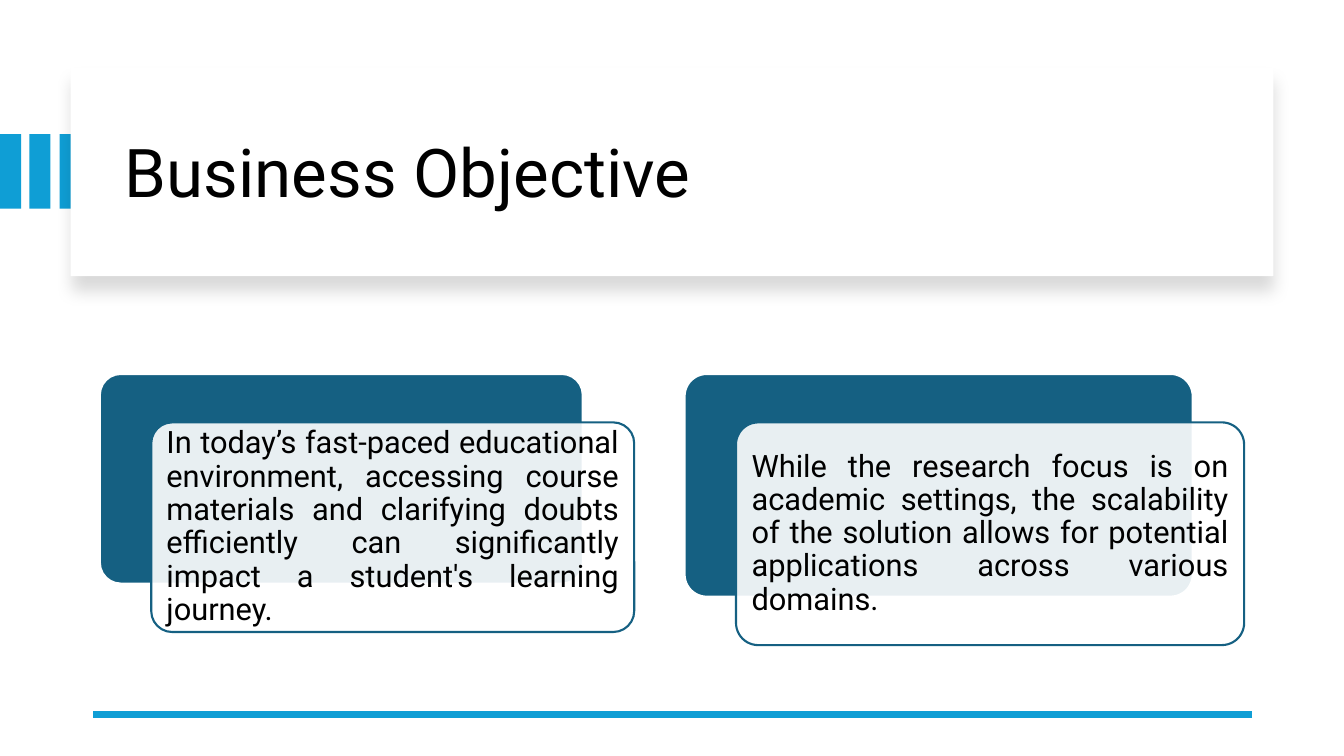
from lxml import etree
from pptx import Presentation
from pptx.dml.color import RGBColor
from pptx.enum import shapes, text
from pptx.oxml import parse_xml
from pptx.oxml.ns import nsdecls, qn
from pptx.util import Inches, Pt

BLUE = RGBColor(0x0F, 0x9E, 0xD5)
TEAL = RGBColor(0x15, 0x60, 0x82)
WHITE = RGBColor(255, 255, 255)
BLACK = RGBColor(0, 0, 0)
KIND = shapes.MSO_SHAPE

deck = Presentation()
deck.slide_width, deck.slide_height = Inches(13.33), Inches(7.5)
slide = deck.slides.add_slide(deck.slide_layouts[6])


def block(kind, left, top, width, height, fill, line=None):
    shape = slide.shapes.add_shape(
        kind, Inches(left), Inches(top), Inches(width), Inches(height))
    shape.shadow.inherit = False
    shape.fill.solid()
    shape.fill.fore_color.rgb = fill
    if line is None:
        shape.line.fill.background()
    else:
        shape.line.color.rgb = line
        shape.line.width = Pt(1.5)
    if kind == KIND.ROUNDED_RECTANGLE:
        shape.adjustments[0] = 0.1
    return shape


def write(shape, words, size, align):
    frame = shape.text_frame
    frame.word_wrap = True
    frame.vertical_anchor = text.MSO_ANCHOR.MIDDLE
    para = frame.paragraphs[0]
    para.text = words
    para.alignment = align
    para.line_spacing = 0.9
    para.font.name = "Roboto"
    para.font.size = Pt(size)
    para.font.color.rgb = BLACK
    return frame


for left in (0, 0.29, 0.59):
    block(KIND.RECTANGLE, left, 1.33, 0.21, 0.74, BLUE)

panel = block(KIND.RECTANGLE, 0.7, 0.67, 11.93, 2.07, WHITE)
glow = panel._element.spPr.find(qn("a:effectLst"))
glow.append(parse_xml(
    f'<a:outerShdw {nsdecls("a")} blurRad="{Pt(11)}" dist="{Pt(10)}" '
    'dir="5400000" algn="t" rotWithShape="0"><a:srgbClr val="000000">'
    '<a:alpha val="15000"/></a:srgbClr></a:outerShdw>'))

title = slide.shapes.add_textbox(
    Inches(1.14), Inches(0.89), Inches(11.13), Inches(1.7))
write(title, "Business Objective", 48, text.PP_ALIGN.LEFT)

rule = slide.shapes.add_connector(
    shapes.MSO_CONNECTOR.STRAIGHT,
    Inches(12.42), Inches(7.09), Inches(0.92), Inches(7.09))
rule.line.color.rgb = BLUE
rule.line.width = Pt(4.5)
etree.SubElement(rule._element.spPr, qn("a:effectLst"))

cards = [
    (0.99, 4.79, 2.08,
     "In today’s fast-paced educational environment, accessing course "
     "materials and clarifying doubts efficiently can significantly "
     "impact a student's learning journey."),
    (6.79, 5.04, 2.21,
     "While the research focus is on academic settings, the scalability "
     "of the solution allows for potential applications across various "
     "domains."),
]
for left, width, height, words in cards:
    block(KIND.ROUNDED_RECTANGLE, left, 3.71, width, height, TEAL, WHITE)
    card = block(KIND.ROUNDED_RECTANGLE, left + 0.51, 4.19, width, height,
                 WHITE, TEAL)
    tint = card._element.spPr.find(qn("a:solidFill"))[0]
    etree.SubElement(tint, qn("a:alpha"), val="90000")
    frame = write(card, words, 22, text.PP_ALIGN.JUSTIFY)
    frame.margin_left = frame.margin_right = Inches(0.09)
    frame.margin_top = frame.margin_bottom = Inches(0.09)

deck.save("out.pptx")
